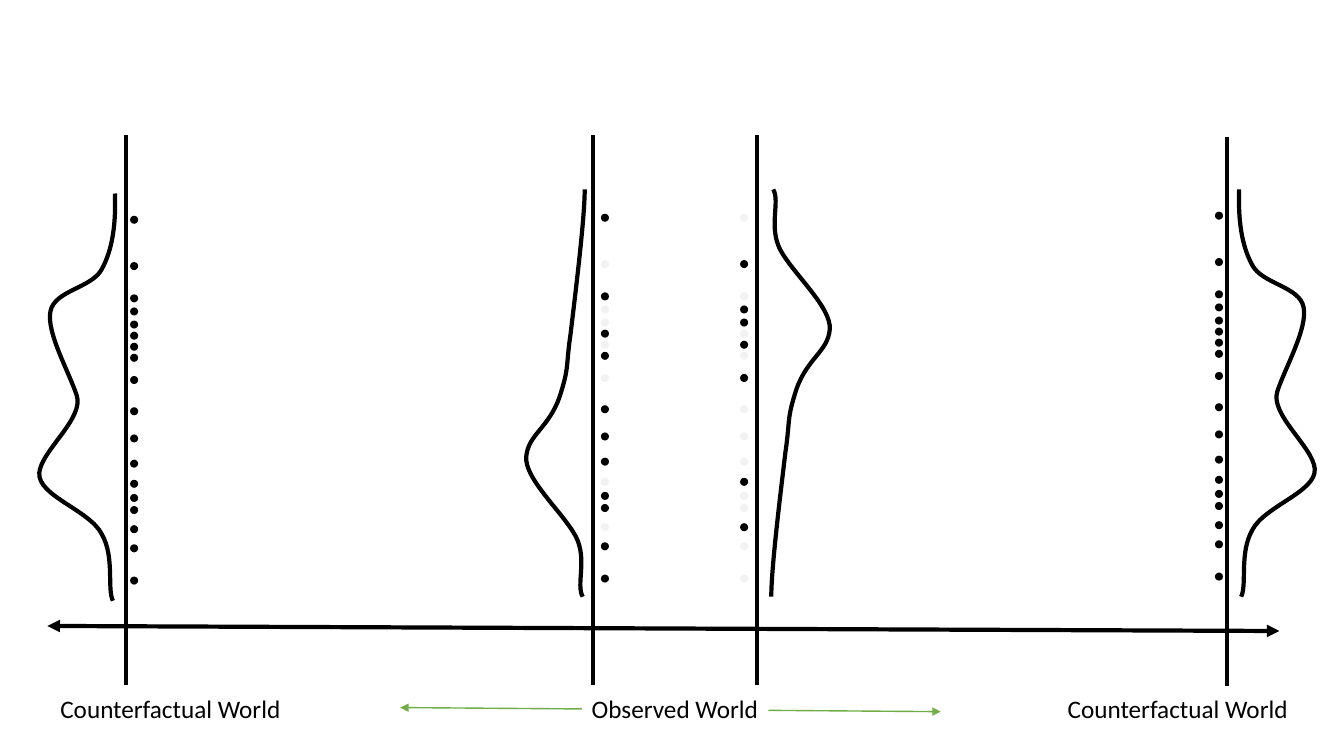
from lxml import etree
from pptx import Presentation
from pptx.dml.color import RGBColor
from pptx.enum import shapes, text
from pptx.oxml.ns import qn
from pptx.util import Inches, Pt

COLORS = {"ink": "000000", "faint": "F2F2F2", "green": "70AD47", "white": "FFFFFF"}

LABELS = [
    ("Counterfactual World", 0.5, 2.41),
    ("Counterfactual World", 10.49, 2.41),
    ("Observed World", 5.77, 1.85),
]
ARROWS = [
    ((3.97, 7.02), (9.33, 7.06), "green", 1),
    ((0.47, 6.21), (12.69, 6.26), "ink", 3),
]
AXES = [(1.25, 1.34, 6.8), (5.88, 1.34, 6.8), (7.51, 1.34, 6.8), (12.17, 1.36, 6.81)]

DOUBLE = [
    (1.14, 1.92),
    (1.15, 2.21), (1.12, 2.47), (1.01, 2.67),
    (0.91, 2.86), (0.54, 2.88), (0.5, 3.09),
    (0.46, 3.3), (0.68, 3.68), (0.76, 3.92),
    (0.84, 4.15), (0.41, 4.47), (0.39, 4.69),
    (0.37, 4.92), (0.89, 5.06), (1.01, 5.3),
    (1.14, 5.53), (1.06, 5.84), (1.12, 5.96),
]
SINGLE = [
    (5.8, 1.88),
    (5.8, 2.18), (5.7, 2.97), (5.66, 3.31),
    (5.61, 3.65), (5.65, 3.63), (5.55, 3.94),
    (5.44, 4.25), (5.24, 4.31), (5.22, 4.53),
    (5.2, 4.75), (5.58, 5.08), (5.71, 5.32),
    (5.83, 5.55), (5.71, 5.8), (5.78, 5.92),
]
CURVES = [
    DOUBLE,
    SINGLE,
    [(13.45 - x, 7.8 - y) for x, y in SINGLE],
    [(13.43 - x, y - 0.04) for x, y in DOUBLE],
]

LEFT, RIGHT = "left", "right"
UNITS = [
    (2.14, LEFT), (2.6, RIGHT), (2.92, LEFT), (3.05, RIGHT), (3.18, RIGHT), (3.29, LEFT),
    (3.4, RIGHT), (3.51, LEFT), (3.73, RIGHT), (4.04, LEFT), (4.31, LEFT), (4.56, LEFT),
    (4.76, RIGHT), (4.9, LEFT), (5.02, LEFT), (5.21, RIGHT), (5.4, LEFT), (5.72, LEFT),
]
COLUMNS = [
    (1.29, 0, (LEFT, RIGHT)),
    (5.96, -0.02, (LEFT,)),
    (7.34, -0.02, (RIGHT,)),
    (12.05, -0.04, (LEFT, RIGHT)),
]
DOT = 0.08


def color(name):
    return RGBColor.from_string(COLORS[name])


def add_line(slide, start, end, tone, width, heads=False):
    line = slide.shapes.add_connector(
        shapes.MSO_CONNECTOR.STRAIGHT, *[Inches(v) for v in (*start, *end)])
    line.line.color.rgb = color(tone)
    line.line.width = Pt(width)
    props = line._element.spPr
    if heads:
        for tag in ("a:headEnd", "a:tailEnd"):
            etree.SubElement(props.find(qn("a:ln")), qn(tag), type="triangle")
    etree.SubElement(props, qn("a:effectLst"))


def add_curve(slide, points):
    spots = [(Inches(x), Inches(y)) for x, y in points]
    pen = slide.shapes.build_freeform(*spots[0])
    pen.add_line_segments(spots[1:], close=False)
    curve = pen.convert_to_shape()
    curve.shadow.inherit = False
    curve.fill.background()
    curve.line.color.rgb = color("ink")
    curve.line.width = Pt(3)
    trace = curve._element.spPr.find(".//" + qn("a:path"))
    steps = trace.findall(qn("a:lnTo"))
    for i in range(0, len(steps), 3):
        bend = etree.SubElement(trace, qn("a:cubicBezTo"))
        for step in steps[i:i + 3]:
            bend.append(step[0])
            trace.remove(step)


def add_label(slide, words, left, width):
    box = slide.shapes.add_textbox(Inches(left), Inches(6.83), Inches(width), Inches(0.4))
    box.fill.solid()
    box.fill.fore_color.rgb = color("white")
    frame = box.text_frame
    frame.text = words
    frame.word_wrap = False
    frame.auto_size = text.MSO_AUTO_SIZE.SHAPE_TO_FIT_TEXT
    font = frame.paragraphs[0].runs[0].font
    font.name = "Calibri"
    font.size = Pt(18)
    font.color.rgb = color("ink")


def add_dot(slide, left, top, tone):
    dot = slide.shapes.add_shape(
        shapes.MSO_SHAPE.OVAL, Inches(left), Inches(top), Inches(DOT), Inches(DOT))
    dot.shadow.inherit = False
    dot.fill.solid()
    dot.fill.fore_color.rgb = color(tone)
    dot.line.fill.background()


def main():
    deck = Presentation()
    deck.slide_width, deck.slide_height = Inches(13.33), Inches(7.5)
    slide = deck.slides.add_slide(deck.slide_layouts[6])
    for arrow in ARROWS:
        add_line(slide, *arrow, heads=True)
    for x, top, bottom in AXES:
        add_line(slide, (x, bottom), (x, top), "ink", 3)
    for points in CURVES:
        add_curve(slide, points)
    for label in LABELS:
        add_label(slide, *label)
    for left, shift, seen in COLUMNS:
        for top, group in UNITS:
            add_dot(slide, left, top + shift, "ink" if group in seen else "faint")
    deck.save("out.pptx")


if __name__ == "__main__":
    main()
